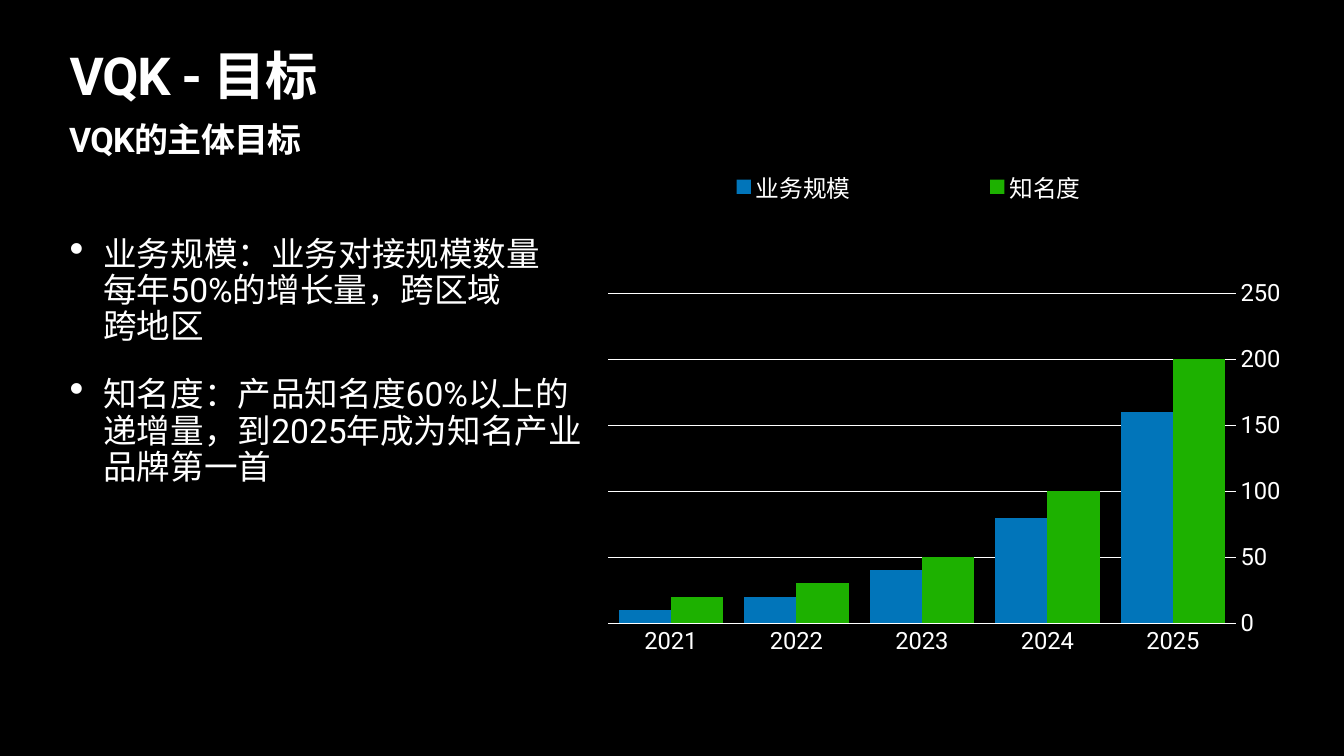
from dataclasses import dataclass

from lxml.etree import SubElement
from pptx import Presentation
from pptx.chart.chart import Chart
from pptx.chart.data import CategoryChartData
from pptx.dml.color import RGBColor
from pptx.enum.chart import (
    XL_CHART_TYPE,
    XL_LEGEND_POSITION,
    XL_TICK_LABEL_POSITION,
    XL_TICK_MARK,
)
from pptx.enum.text import MSO_ANCHOR, MSO_AUTO_SIZE, PP_ALIGN
from pptx.oxml.ns import qn
from pptx.oxml.xmlchemy import BaseOxmlElement
from pptx.shapes.autoshape import Shape
from pptx.slide import Slide
from pptx.util import Inches, Pt


@dataclass(frozen=True)
class Theme:
    background: RGBColor = RGBColor(0, 0, 0)
    text: RGBColor = RGBColor(255, 255, 255)
    font: str = "Roboto"
    title_size: float = 74.8
    subtitle_size: float = 48.5
    body_size: float = 48
    chart_size: float = 34


@dataclass(frozen=True)
class TextBlock:
    paragraphs: tuple[str, ...]
    top: float
    height: float
    size: float
    line_spacing: float
    inset: float = 0.06
    bold: bool = False
    tracking: float = 0
    bulleted: bool = False


@dataclass(frozen=True)
class Series:
    name: str
    values: tuple[int, ...]
    color: RGBColor


THEME = Theme()
TEXT_LEFT, TEXT_WIDTH = 1.32, 24.03
TITLE = TextBlock(("VQK - 目标",), 1.04, 1.57, THEME.title_size, 0.8, bold=True, tracking=-1.5)
SUBTITLE = TextBlock(
    ("VQK的主体目标",), 2.46, 1.02, THEME.subtitle_size, 0.8, inset=0.05, bold=True, tracking=-1
)
GOALS = TextBlock(
    (
        "业务规模：业务对接规模数量\v每年50%的增长量，跨区域\v跨地区",
        "知名度：产品知名度60%以上的\v递增量，到2025年成为知名产业\v品牌第一首",
    ),
    4.65, 9.03, THEME.body_size, 0.9, bulleted=True,
)
YEARS = ("2021", "2022", "2023", "2024", "2025")
SERIES = (
    Series("业务规模", (10, 20, 40, 80, 160), RGBColor(0x01, 0x75, 0xBA)),
    Series("知名度", (20, 30, 50, 100, 200), RGBColor(0x1D, 0xB1, 0x00)),
)


def add_bullet(properties: BaseOxmlElement) -> None:
    properties.set("marL", str(Inches(0.67)))
    properties.set("indent", str(-Inches(0.67)))
    SubElement(properties, qn("a:buSzPct"), val="123000")
    SubElement(properties, qn("a:buChar"), char="•")


def write_text(shape: Shape, block: TextBlock) -> None:
    shape.left, shape.top = Inches(TEXT_LEFT), Inches(block.top)
    shape.width, shape.height = Inches(TEXT_WIDTH), Inches(block.height)
    frame = shape.text_frame
    frame.word_wrap = True
    frame.auto_size = MSO_AUTO_SIZE.NONE
    frame.vertical_anchor = MSO_ANCHOR.TOP
    frame.margin_left = frame.margin_right = Inches(block.inset)
    frame.margin_top = frame.margin_bottom = Inches(block.inset)
    for index, text in enumerate(block.paragraphs):
        paragraph = frame.add_paragraph() if index else frame.paragraphs[0]
        paragraph.text = text
        properties = paragraph._p.get_or_add_pPr()
        if block.bulleted:
            add_bullet(properties)
            paragraph.space_before = Pt(45)
        paragraph.alignment = PP_ALIGN.LEFT
        paragraph.line_spacing = block.line_spacing
        font = paragraph.font
        font.name, font.size, font.bold = THEME.font, Pt(block.size), block.bold
        font.color.rgb = THEME.text
        if block.tracking:
            properties.find(qn("a:defRPr")).set("spc", str(int(block.tracking * 100)))


def set_layout(element: BaseOxmlElement, left: float, top: float, width: float, height: float,
               inner: bool = False) -> None:
    """Place a plot area or legend by fractions of the chart."""
    layout = element.find(qn("c:layout"))
    if layout is None:
        layout = SubElement(element, qn("c:layout"))
        # The layout precedes the plots, or follows the legend position.
        element.insert(0 if inner else 1, layout)
    manual = SubElement(layout, qn("c:manualLayout"))
    if inner:
        SubElement(manual, qn("c:layoutTarget"), val="inner")
    for tag in ("xMode", "yMode"):
        SubElement(manual, qn(f"c:{tag}"), val="edge")
    for tag, value in zip("xywh", (left, top, width, height)):
        SubElement(manual, qn(f"c:{tag}"), val=str(value))


def style_axes(chart: Chart) -> None:
    for axis in (chart.category_axis, chart.value_axis):
        axis.major_tick_mark = axis.minor_tick_mark = XL_TICK_MARK.NONE
        axis.format.line.fill.background()
    chart.category_axis.tick_label_position = XL_TICK_LABEL_POSITION.LOW
    scale = chart.value_axis
    # High labels stand on the right of the plot.
    scale.tick_label_position = XL_TICK_LABEL_POSITION.HIGH
    scale.minimum_scale, scale.maximum_scale, scale.major_unit = 0, 250, 50
    scale.has_major_gridlines = True
    grid_line = scale.major_gridlines.format.line
    grid_line.color.rgb, grid_line.width = THEME.text, Pt(1)


def add_growth_chart(slide: Slide) -> None:
    data = CategoryChartData()
    data.categories = YEARS
    for series in SERIES:
        data.add_series(series.name, series.values)
    chart = slide.shapes.add_chart(
        XL_CHART_TYPE.COLUMN_CLUSTERED,
        Inches(12), Inches(3.27), Inches(13.41), Inches(9.74), data,
    ).chart
    chart.has_title = False
    chart.font.name, chart.font.size = THEME.font, Pt(THEME.chart_size)
    chart.font.color.rgb = THEME.text
    style_axes(chart)

    plot = chart.plots[0]
    plot.gap_width, plot.overlap, plot.vary_by_categories = 40, 0, False
    for drawn, series in zip(plot.series, SERIES):
        drawn.format.fill.solid()
        drawn.format.fill.fore_color.rgb = series.color

    chart.has_legend = True
    chart.legend.position = XL_LEGEND_POSITION.TOP
    chart.legend.include_in_layout = False
    set_layout(chart.legend._element, 0, 0, 0.9, 0.09)
    set_layout(chart._chartSpace.chart.plotArea, 0.005, 0.263, 0.93, 0.674, inner=True)


def main() -> None:
    presentation = Presentation()
    presentation.slide_width, presentation.slide_height = Inches(26.67), Inches(15)
    slide = presentation.slides.add_slide(presentation.slide_layouts[5])
    slide.background.fill.solid()
    slide.background.fill.fore_color.rgb = THEME.background

    # Headings and goals
    write_text(slide.shapes.title, TITLE)
    for block in (SUBTITLE, GOALS):
        write_text(slide.shapes.add_textbox(0, 0, 0, 0), block)

    # Yearly growth
    add_growth_chart(slide)
    presentation.save("out.pptx")


main()
